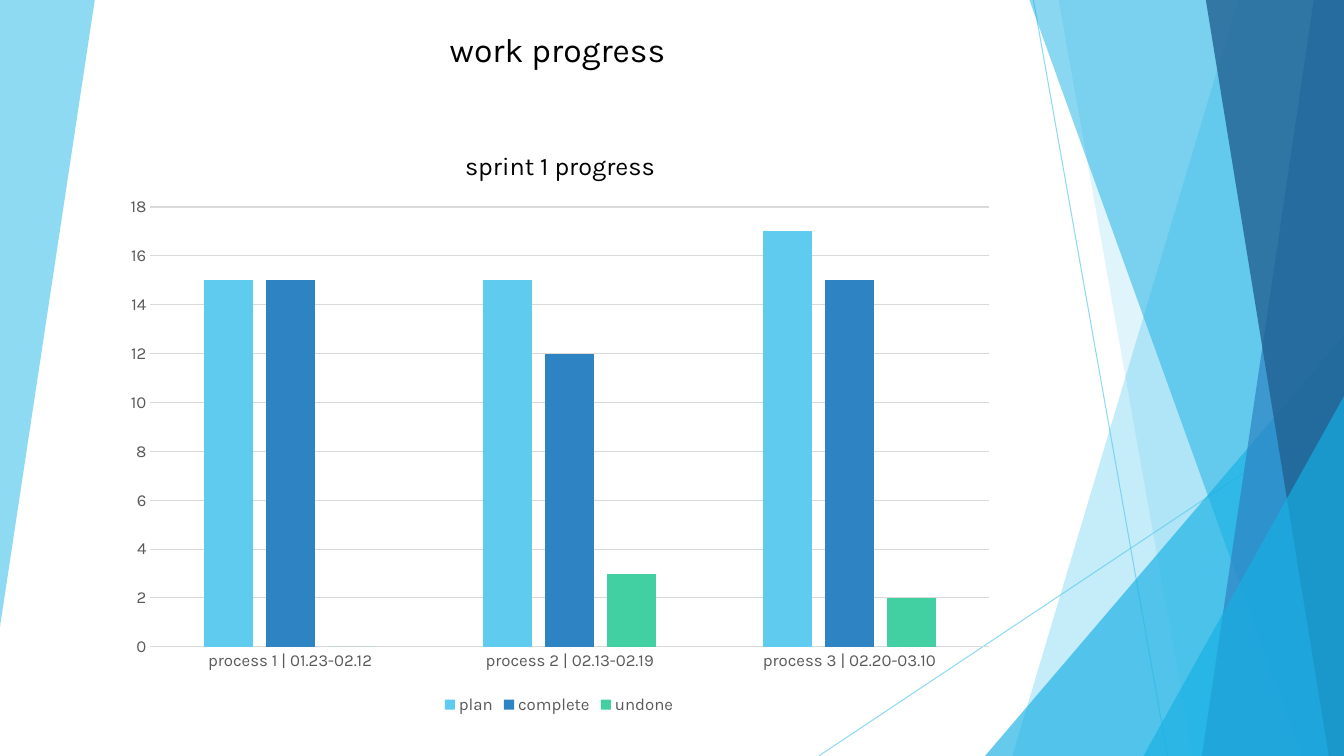
"""Build the work progress slide with its sprint chart and faceted backdrop."""
import dataclasses

import lxml.etree
import pptx
import pptx.chart.data
import pptx.dml.color
import pptx.enum.chart
import pptx.enum.shapes
import pptx.enum.text
import pptx.oxml
import pptx.oxml.ns
import pptx.util

Inches = pptx.util.Inches
qn = pptx.oxml.ns.qn


@dataclasses.dataclass(frozen=True)
class Theme:
    font: str = "Karla"
    sky: str = "5FCBEF"
    cyan: str = "17B0E4"
    blue: str = "2E83C3"
    navy: str = "226292"
    green: str = "42D0A2"
    ink: str = "000000"
    label: str = "595959"
    grid: str = "D9D9D9"
    title_size: int = 24
    chart_title_size: int = 18
    label_size: int = 12
    line_width: float = 0.75


class SlideBuilder:
    def __init__(self, page, theme):
        self.page = page
        self.theme = theme

    def color(self, value):
        return pptx.dml.color.RGBColor.from_string(value)

    def style_font(self, font, size, color):
        font.name = self.theme.font
        font.size = pptx.util.Pt(size)
        font.bold = False
        font.color.rgb = self.color(color)

    def style_line(self, line, color):
        line.color.rgb = self.color(color)
        line.width = pptx.util.Pt(self.theme.line_width)

    def set_opacity(self, shape, percent):
        for tint in shape._element.spPr.iter(qn("a:srgbClr")):
            alpha = lxml.etree.SubElement(tint, qn("a:alpha"))
            alpha.set("val", str(percent * 1000))

    def finish_facet(self, shape, color, opacity):
        shape.shadow.inherit = False
        shape.line.fill.background()
        shape.fill.solid()
        shape.fill.fore_color.rgb = self.color(color)
        self.set_opacity(shape, opacity)

    def add_facet(self, points, color, opacity):
        corners = [(Inches(x), Inches(y)) for x, y in points]
        outline = self.page.shapes.build_freeform(*corners[0])
        outline.add_line_segments(corners[1:], close=True)
        self.finish_facet(outline.convert_to_shape(), color, opacity)

    def add_corner(self, left, top, color, opacity):
        shape = self.page.shapes.add_shape(
            pptx.enum.shapes.MSO_SHAPE.ISOSCELES_TRIANGLE,
            Inches(left), Inches(top), Inches(13.33 - left), Inches(7.5 - top))
        shape.adjustments[0] = 1
        self.finish_facet(shape, color, opacity)

    def add_line(self, start, end, color, opacity):
        line = self.page.shapes.add_connector(
            pptx.enum.shapes.MSO_CONNECTOR.STRAIGHT,
            *(Inches(value) for value in start + end))
        self.style_line(line.line, color)
        self.set_opacity(line, opacity)
        lxml.etree.SubElement(line._element.spPr, qn("a:effectLst"))

    def add_run(self, frame, text, size):
        para = frame.paragraphs[0]
        para.alignment = pptx.enum.text.PP_ALIGN.CENTER
        span = para.add_run()
        span.text = text
        self.style_font(span.font, size, self.theme.ink)

    def set_title(self, text, left, top, width, height):
        box = self.page.shapes.title
        box.left, box.top = Inches(left), Inches(top)
        box.width, box.height = Inches(width), Inches(height)
        box.text_frame.word_wrap = True
        box.text_frame.vertical_anchor = pptx.enum.text.MSO_ANCHOR.MIDDLE
        self.add_run(box.text_frame, text, self.theme.title_size)

    def place_part(self, part, modes, **fractions):
        for old in part.findall(qn("c:layout")):
            part.remove(old)
        layout = pptx.oxml.parse_xml(
            f'<c:layout xmlns:c="{pptx.oxml.ns.nsuri("c")}"><c:manualLayout/></c:layout>')
        for name, value in (modes | fractions).items():
            lxml.etree.SubElement(layout[0], qn(f"c:{name}")).set("val", str(value))
        text = part.find(qn("c:tx"))
        part.insert(0 if text is None else 1, layout)

    def style_axis(self, axis):
        axis.major_tick_mark = pptx.enum.chart.XL_TICK_MARK.NONE
        axis.minor_tick_mark = pptx.enum.chart.XL_TICK_MARK.NONE
        self.style_font(axis.tick_labels.font, self.theme.label_size, self.theme.label)

    def add_columns(self, title, categories, rows, left, top, width, height):
        theme = self.theme
        data = pptx.chart.data.CategoryChartData()
        data.categories = categories
        for name, values, _ in rows:
            data.add_series(name, values)
        chart = self.page.shapes.add_chart(
            pptx.enum.chart.XL_CHART_TYPE.COLUMN_CLUSTERED,
            Inches(left), Inches(top), Inches(width), Inches(height), data).chart
        self.style_font(chart.font, theme.label_size, theme.label)

        self.add_run(chart.chart_title.text_frame, title, theme.chart_title_size)
        chart.chart_title.include_in_layout = False
        edges = {"xMode": "edge", "yMode": "edge"}
        self.place_part(chart.chart_title._element, edges, x=0.39, y=0.04)
        self.place_part(chart._chartSpace.chart.plotArea,
                        {"layoutTarget": "inner"} | edges,
                        x=0.044, y=0.144, w=0.936, h=0.736)

        chart.has_legend = True
        chart.legend.position = pptx.enum.chart.XL_LEGEND_POSITION.BOTTOM
        chart.legend.include_in_layout = False
        self.style_font(chart.legend.font, theme.label_size, theme.label)

        self.style_axis(chart.category_axis)
        self.style_line(chart.category_axis.format.line, theme.grid)
        self.style_axis(chart.value_axis)
        chart.value_axis.format.line.fill.background()
        chart.value_axis.minimum_scale = 0
        chart.value_axis.maximum_scale = 18
        chart.value_axis.major_unit = 2
        self.style_line(chart.value_axis.major_gridlines.format.line, theme.grid)

        plot = chart.plots[0]
        plot.gap_width = 219
        plot.overlap = -27
        plot.vary_by_categories = False
        for series, (_, _, color) in zip(plot.series, rows):
            series.format.fill.solid()
            series.format.fill.fore_color.rgb = self.color(color)


def main():
    theme = Theme()
    deck = pptx.Presentation()
    deck.slide_width, deck.slide_height = Inches(13.33), Inches(7.5)
    slide = SlideBuilder(deck.slides.add_slide(deck.slide_layouts[5]), theme)

    def add_band(top_left, bottom_left, color, opacity):
        slide.add_facet([(top_left, 0), (13.33, 0), (13.33, 7.5), (bottom_left, 7.5)],
                        color, opacity)

    slide.add_facet([(0, 0), (0.94, 0), (0, 6.22)], theme.sky, 70)
    slide.add_line((10.25, 0), (11.58, 7.5), theme.sky, 70)
    slide.add_line((13.33, 4.03), (8.12, 7.5), theme.sky, 70)
    add_band(12.28, 10.04, theme.sky, 36)
    add_band(10.5, 11.83, theme.sky, 20)
    slide.add_corner(9.77, 3.33, theme.cyan, 66)
    add_band(10.21, 12.91, theme.cyan, 50)
    add_band(13.03, 11.92, theme.blue, 70)
    add_band(11.96, 13.18, theme.navy, 80)
    slide.add_corner(11.34, 3.93, theme.cyan, 66)

    slide.add_columns(
        "sprint 1 progress",
        ["process 1 | 01.23-02.12", "process 2 | 02.13-02.19", "process 3 | 02.20-03.10"],
        [("plan", (15, 15, 17), theme.sky),
         ("complete", (15, 12, 15), theme.blue),
         ("undone", (0, 3, 2), theme.green)],
        1.1, 1.2, 8.89, 5.93)
    slide.set_title("work progress", 3.32, 0.24, 4.42, 0.5)
    deck.save("out.pptx")


main()
